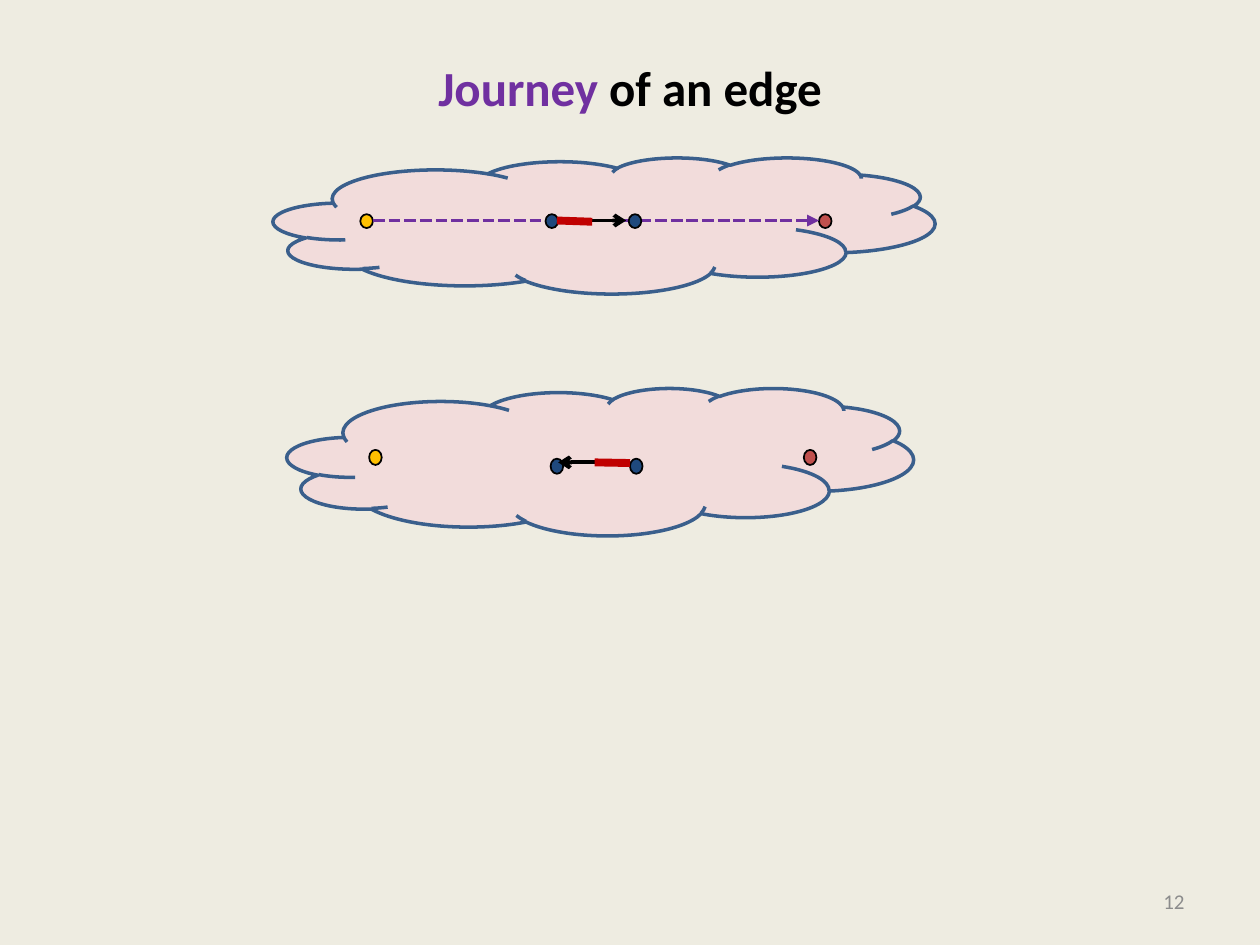
from typing import NamedTuple

from lxml import etree
from pptx import Presentation
from pptx.dml.color import RGBColor
from pptx.enum import dml, shapes, text
from pptx.oxml import ns
from pptx.util import Pt

BLACK, PURPLE, RED, ROSE = "000000", "7030A0", "C00000", "C0504D"
GOLD, NAVY, PINK, OUTLINE = "FFC000", "1F497D", "F2DCDB", "3A5F8C"
DOT_WIDTH = 7.2


class Cloud(NamedTuple):
    x: float
    y: float
    w: float
    h: float


class Dot(NamedTuple):
    x: float
    y: float
    h: float
    color: str


class Edge(NamedTuple):
    x1: float
    y1: float
    x2: float
    y2: float
    color: str
    width: float = 2.25
    head: str = ""
    dash: bool = False


def rgb(color: str) -> RGBColor:
    return RGBColor.from_string(color)


def add_text(p, content: str, size: float = 28, color: str = BLACK,
             bold: bool = False, font: str = "Calibri") -> None:
    r = p.add_run()
    r.text = content
    r.font.name, r.font.size, r.font.bold = font, Pt(size), bold
    r.font.color.rgb = rgb(color)


def draw_shape(s, kind, x: float, y: float, w: float, h: float,
               fill: str, line: str, width: float) -> None:
    sp = s.shapes.add_shape(kind, Pt(x), Pt(y), Pt(w), Pt(h))
    sp.shadow.inherit = False
    sp.fill.solid()
    sp.fill.fore_color.rgb = rgb(fill)
    sp.line.color.rgb = rgb(line)
    sp.line.width = Pt(width)


def draw_edge(s, e: Edge) -> None:
    cn = s.shapes.add_connector(shapes.MSO_CONNECTOR.STRAIGHT,
                                Pt(e.x1), Pt(e.y1), Pt(e.x2), Pt(e.y2))
    cn.line.color.rgb = rgb(e.color)
    cn.line.width = Pt(e.width)
    if e.dash:
        cn.line.dash_style = dml.MSO_LINE.SQUARE_DOT
    if e.head:
        ln = cn.line._get_or_add_ln()
        etree.SubElement(ln, ns.qn("a:tailEnd"), type=e.head)
    etree.SubElement(cn._element.spPr, ns.qn("a:effectLst"))


def draw(s, item) -> None:
    if isinstance(item, Cloud):
        draw_shape(s, shapes.MSO_SHAPE.CLOUD, *item, PINK, OUTLINE, 2)
    elif isinstance(item, Dot):
        draw_shape(s, shapes.MSO_SHAPE.OVAL, item.x, item.y, DOT_WIDTH, item.h,
                   item.color, BLACK, 1)
    else:
        draw_edge(s, item)


# Back to front
DIAGRAM = [
    # Upper cloud with its end nodes
    Cloud(156.24, 90, 378, 77.76),
    Dot(468, 122.4, 7.92, ROSE),
    Dot(205.92, 122.4, 7.92, GOLD),
    # Lower cloud with the reversed edge
    Cloud(164.16, 221.76, 357.84, 84.24),
    Dot(459.36, 257.04, 8.64, ROSE),
    Dot(210.96, 257.04, 8.64, GOLD),
    Dot(314.64, 262.08, 8.64, NAVY),
    Dot(360, 262.08, 8.64, NAVY),
    Edge(357.84, 264.24, 318.96, 264.24, BLACK, head="arrow"),
    Edge(339.84, 264.24, 360, 264.6, RED, width=4.5),
    # Journey and edge in the upper cloud
    Edge(213.12, 126, 468, 126, PURPLE, head="triangle", dash=True),
    Edge(318.96, 126, 357.84, 126, BLACK, head="arrow"),
    Dot(311.76, 122.4, 7.92, NAVY),
    Dot(359.28, 122.4, 7.92, NAVY),
    Edge(318.24, 126, 338.4, 126.72, RED, width=4.5),
]


def main() -> None:
    prs = Presentation()
    prs.slide_width, prs.slide_height = Pt(720), Pt(540)
    s = prs.slides.add_slide(prs.slide_layouts[5])
    s.background.fill.solid()
    s.background.fill.fore_color.rgb = rgb("EEECE1")

    # Title, raised by a deeper bottom margin
    title = s.shapes.title
    title.left, title.top, title.width, title.height = Pt(36), Pt(21.6), Pt(648), Pt(90)
    tf = title.text_frame
    tf.vertical_anchor = text.MSO_ANCHOR.MIDDLE
    tf.margin_bottom = Pt(37.6)
    p = tf.paragraphs[0]
    p.alignment = text.PP_ALIGN.CENTER
    add_text(p, "Journey ", color=PURPLE, bold=True)
    add_text(p, "of an edge", bold=True)

    # Slide number
    tf = s.shapes.add_textbox(Pt(516), Pt(500.5), Pt(168), Pt(28.75)).text_frame
    tf.word_wrap = True
    tf.vertical_anchor = text.MSO_ANCHOR.MIDDLE
    p = tf.paragraphs[0]
    p.alignment = text.PP_ALIGN.RIGHT
    add_text(p, "12", size=12, color="8C8C8C")

    for item in DIAGRAM:
        draw(s, item)
    prs.save("out.pptx")


if __name__ == "__main__":
    main()
